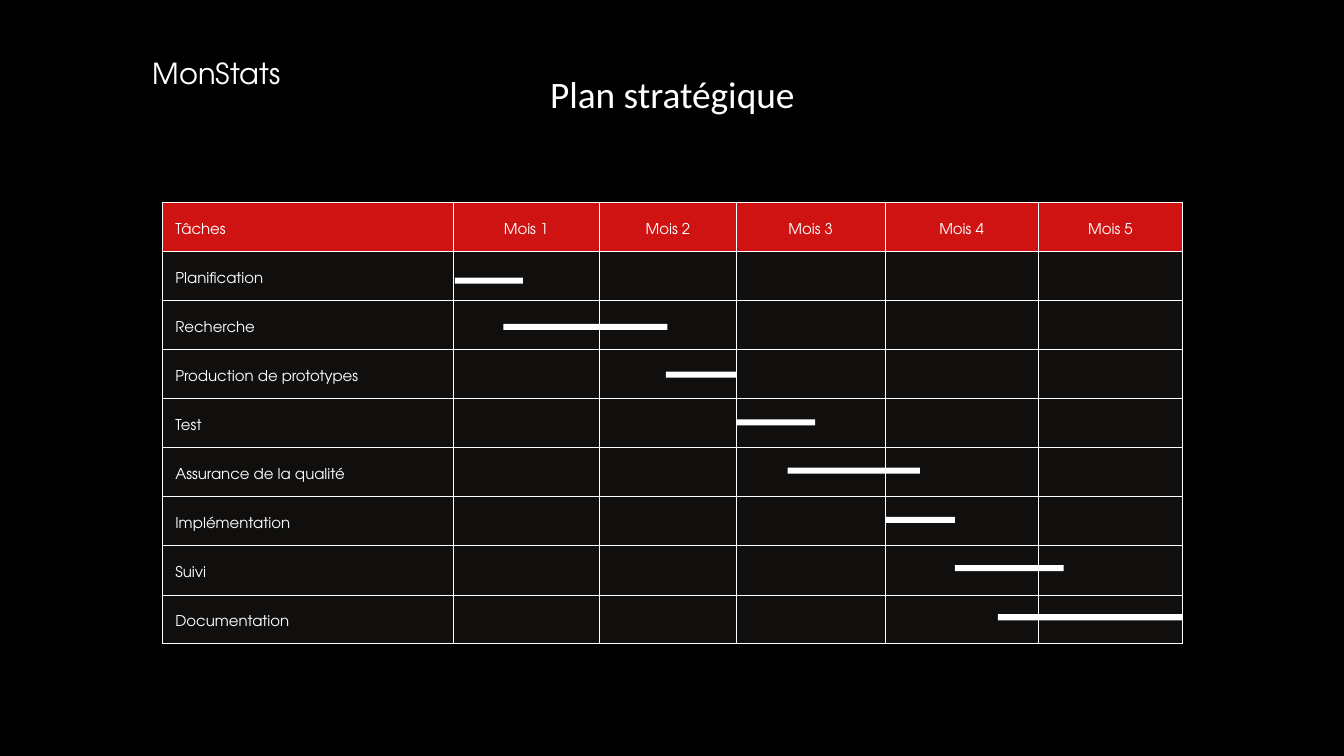
"""Build the strategic plan slide: a task table with one schedule bar per task."""
from lxml import etree
from pptx import Presentation
from pptx import util as u
from pptx.dml.color import RGBColor
from pptx.enum import shapes, text
from pptx.oxml import ns

PX = 9144
BLACK = RGBColor(0x00, 0x00, 0x00)
WHITE = RGBColor(0xFF, 0xFF, 0xFF)
RED = RGBColor(0xCE, 0x13, 0x12)
CHARCOAL = RGBColor(0x10, 0x0F, 0x0D)
GEOMETRIC = "TeX Gyre Adventor"

MONTHS = ["Mois 1", "Mois 2", "Mois 3", "Mois 4", "Mois 5"]
TASKS = [
    ("Planification", 677, 413, 101),
    ("Recherche", 749, 482, 244),
    ("Production de prototypes", 991, 553, 105),
    ("Test", 1096, 624, 117),
    ("Assurance de la qualité", 1172, 696, 197),
    ("Implémentation", 1317, 769, 104),
    ("Suivi", 1421, 841, 162),
    ("Documentation", 1485, 914, 274),
]
COLUMN_WIDTHS = [433, 218, 204, 221, 228, 215]
ROW_HEIGHT = 73
BAR_HEIGHT = 9


def write(frame, content, font, size, spacing, align=text.PP_ALIGN.CENTER, margin=0):
    frame.word_wrap = True
    frame.margin_left = frame.margin_right = margin * PX
    frame.margin_top = frame.margin_bottom = margin * PX
    paragraph = frame.paragraphs[0]
    paragraph.alignment = align
    paragraph.line_spacing = u.Pt(spacing)
    run = paragraph.add_run()
    run.text = content
    run.font.name = font
    run.font.size = u.Pt(size)
    run.font.color.rgb = WHITE


def add_border(cell, side, width):
    properties = cell._tc.get_or_add_tcPr()
    line = etree.SubElement(properties, ns.qn(f"a:ln{side}"), w=str(u.Pt(width)))
    fill = etree.SubElement(line, ns.qn("a:solidFill"))
    etree.SubElement(fill, ns.qn("a:srgbClr"), val=str(WHITE))


presentation = Presentation()
presentation.slide_width = 2000 * PX
presentation.slide_height = 1125 * PX
slide = presentation.slides.add_slide(presentation.slide_layouts[6])
slide.background.fill.solid()
slide.background.fill.fore_color.rgb = BLACK

title = slide.shapes.add_textbox(529 * PX, 101 * PX, 943 * PX, 70 * PX)
write(title.text_frame, "Plan stratégique", font="Calibri", size=40, spacing=52)

rows = [["Tâches", *MONTHS]] + [[task[0]] + [""] * len(MONTHS) for task in TASKS]
last_row = len(rows) - 1
last_column = len(COLUMN_WIDTHS) - 1
table = slide.shapes.add_table(
    len(rows), len(COLUMN_WIDTHS), 241 * PX, 301 * PX,
    sum(COLUMN_WIDTHS) * PX, len(rows) * ROW_HEIGHT * PX,
).table
for column, width in zip(table.columns, COLUMN_WIDTHS):
    column.width = width * PX

for row_index, labels in enumerate(rows):
    table.rows[row_index].height = ROW_HEIGHT * PX
    for column_index, label in enumerate(labels):
        cell = table.cell(row_index, column_index)
        outer_sides = {
            "L": column_index == 0,
            "R": column_index == last_column,
            "T": row_index == 0,
            "B": row_index == last_row,
        }
        for side, is_outer in outer_sides.items():
            add_border(cell, side, 0.69 if is_outer else 0.4)
        cell.fill.solid()
        cell.fill.fore_color.rgb = RED if row_index == 0 else CHARCOAL
        cell.vertical_anchor = text.MSO_ANCHOR.MIDDLE
        if label:
            align = text.PP_ALIGN.CENTER if column_index else text.PP_ALIGN.LEFT
            write(cell.text_frame, label, font=GEOMETRIC, size=16, spacing=22.4, align=align)
            cell.margin_left = cell.margin_right = 20 * PX
            cell.margin_top = cell.margin_bottom = 20 * PX

for task, left, top, width in TASKS:
    bar = slide.shapes.add_shape(
        shapes.MSO_SHAPE.RECTANGLE, left * PX, top * PX, width * PX, BAR_HEIGHT * PX
    )
    bar.shadow.inherit = False
    bar.fill.solid()
    bar.fill.fore_color.rgb = WHITE
    bar.line.fill.background()

brand = slide.shapes.add_textbox(201 * PX, 74 * PX, 243 * PX, 56 * PX)
write(brand.text_frame, "MonStats", font=GEOMETRIC, size=31, spacing=43.4)

presentation.save("out.pptx")
